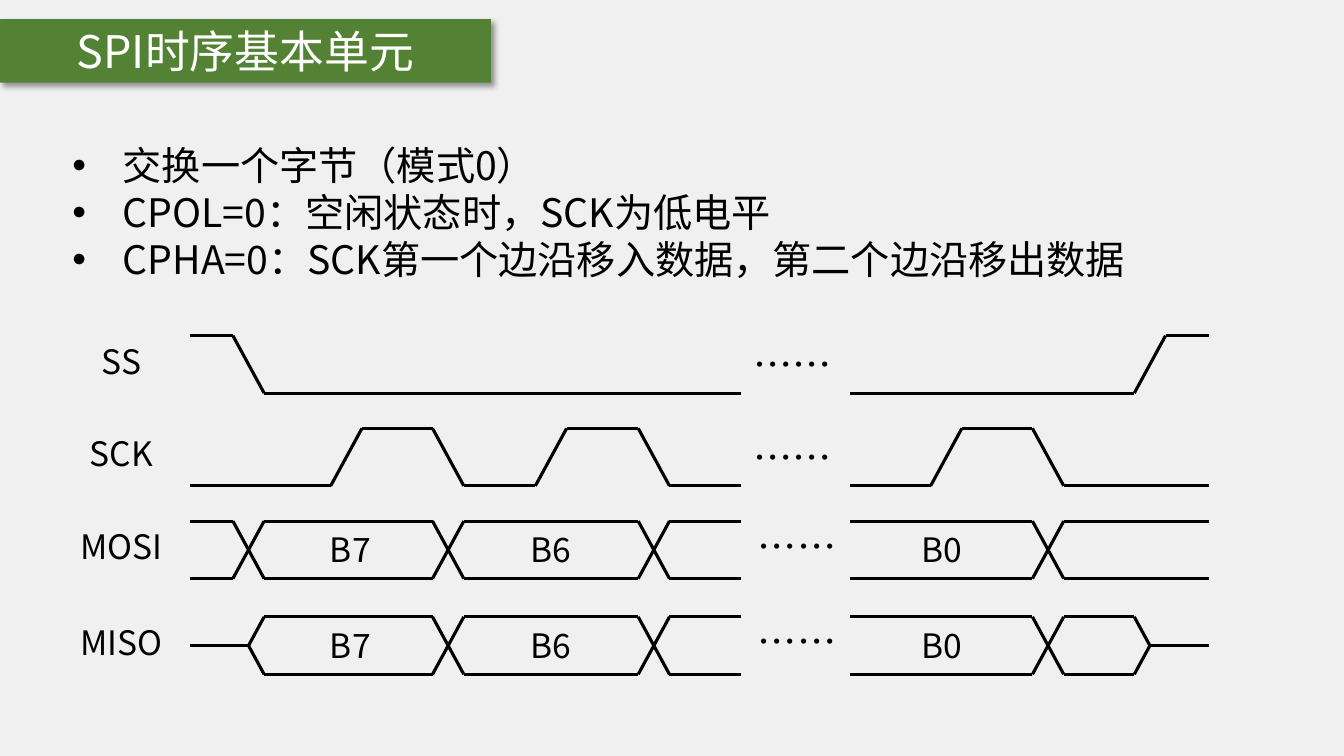
"""Build the SPI mode 0 timing slide."""
from itertools import pairwise

from lxml import etree
from pptx import Presentation
from pptx.dml.color import RGBColor
from pptx.enum.shapes import MSO_CONNECTOR as CONN, MSO_SHAPE as SHAPE
from pptx.enum.text import MSO_ANCHOR as ANCHOR, MSO_AUTO_SIZE as AUTO, PP_ALIGN as ALIGN
from pptx.oxml import parse_xml
from pptx.oxml.ns import nsdecls, qn
from pptx.util import Inches, Pt

COLORS = {"back": "F0F0F0", "banner": "548235", "ink": "000000", "white": "FFFFFF"}
FONT = "Noto Sans CJK SC"
SWING, SLOPE = 0.57, 0.31
START, GAP_LEFT, GAP_RIGHT, END = 1.88, 7.35, 8.43, 11.99
SELECT, FIRST, SECOND, LAST, RELEASE = 2.31, 4.29, 6.33, 10.24, 11.25
HIGH, MIDDLE, LOW = 0, 0.5, 1
BITS = {"B7": 3.01, "B6": 5.0, "B0": 8.88}


class Deck:
    """Hold the slide style and the current drawing target."""

    def __init__(self):
        self.prs = Presentation()
        self.prs.slide_width, self.prs.slide_height = Inches(13.33), Inches(7.5)
        self.slide = self.prs.slides.add_slide(self.prs.slide_layouts[6])
        fill = self.slide.background.fill
        fill.solid()
        fill.fore_color.rgb = self.color("back")
        self.shapes = self.slide.shapes

    def color(self, name):
        return RGBColor.from_string(COLORS[name])

    def group(self):
        self.shapes = self.slide.shapes.add_group_shape().shapes

    def style(self, p, size, color, align):
        p.alignment = align
        for r in p.runs:
            r.font.size, r.font.name = Pt(size), FONT
            r.font.color.rgb = self.color(color)
            etree.SubElement(r.font._element, qn("a:ea"), typeface=FONT)

    def banner(self, text, x, y, w, h):
        sp = self.shapes.add_shape(SHAPE.RECTANGLE, Inches(x), Inches(y), Inches(w), Inches(h))
        sp.fill.solid()
        sp.fill.fore_color.rgb = self.color("banner")
        sp.line.fill.background()
        sp._element.spPr.append(parse_xml(
            f'<a:effectLst {nsdecls("a")}><a:outerShdw blurRad="{Pt(4)}" dist="{Pt(3)}" '
            'dir="2700000" algn="tl" rotWithShape="0"><a:srgbClr val="000000">'
            '<a:alpha val="40000"/></a:srgbClr></a:outerShdw></a:effectLst>'))
        tf = sp.text_frame
        tf.text = text
        tf.vertical_anchor = ANCHOR.MIDDLE
        self.style(tf.paragraphs[0], 32, "white", ALIGN.CENTER)

    def text(self, text, x, y, w, h, size=24, align=ALIGN.CENTER):
        tf = self.shapes.add_textbox(Inches(x), Inches(y), Inches(w), Inches(h)).text_frame
        tf.word_wrap = True
        tf.auto_size = AUTO.SHAPE_TO_FIT_TEXT
        tf.text = text
        for p in tf.paragraphs:
            self.style(p, size, "ink", align)
        return tf

    def bullets(self, lines, x, y, w, h):
        for p in self.text("\n".join(lines), x, y, w, h, 28, ALIGN.LEFT).paragraphs:
            pPr = p._p.get_or_add_pPr()
            pPr.set("marL", str(Inches(0.5)))
            pPr.set("indent", str(Inches(-0.5)))
            etree.SubElement(pPr, qn("a:buFont"), typeface="Arial")
            etree.SubElement(pPr, qn("a:buChar"), char="•")

    def wave(self, top, *points):
        for (x1, level1), (x2, level2) in pairwise(points):
            cx = self.shapes.add_connector(
                CONN.STRAIGHT, Inches(x1), Inches(top + SWING * level1),
                Inches(x2), Inches(top + SWING * level2))
            cx.line.color.rgb = self.color("ink")
            cx.line.width = Pt(2.25)
            etree.SubElement(cx._element.spPr, qn("a:effectLst"))

    def signal(self, name, top, waves, dots=(7.22, 0)):
        self.group()
        self.text(name, 0.56, top, 1.29, 0.5)
        for points in waves:
            self.wave(top, *points)
        self.text("……", dots[0], top + dots[1], 1.29, SWING, 28)

    def data(self, name, top, waves):
        self.signal(name, top, waves, (7.26, -0.04))
        for bit, x in BITS.items():
            self.text(bit, x, top + 0.03, 0.93, 0.5)


def edge(x, before, after):
    return [(x, before), (x + SLOPE, after)]


def pulse(rise, fall):
    return edge(rise, LOW, HIGH) + edge(fall, HIGH, LOW)


def swap(level, *edges):
    points = []
    for x in edges:
        points += edge(x, level, 1 - level)
        level = 1 - level
    return points


def main():
    deck = Deck()
    deck.banner("SPI时序基本单元", 0, 0.19, 4.87, 0.63)
    deck.bullets(["交换一个字节（模式0）", "CPOL=0：空闲状态时，SCK为低电平",
                  "CPHA=0：SCK第一个边沿移入数据，第二个边沿移出数据"], 0.62, 1.35, 12.08, 1.51)
    deck.signal("SS", 3.33, [
        [(START, HIGH), *edge(SELECT, HIGH, LOW), (GAP_LEFT, LOW)],
        [(GAP_RIGHT, LOW), *edge(RELEASE, LOW, HIGH), (END, HIGH)]])
    deck.signal("SCK", 4.25, [
        [(START, LOW), *pulse(3.28, FIRST), *pulse(5.31, SECOND), (GAP_LEFT, LOW)],
        [(GAP_RIGHT, LOW), *pulse(9.23, LAST), (END, LOW)]])
    mosi, miso = [], []
    center = SELECT + SLOPE / 2
    finish = RELEASE + SLOPE / 2
    for level in (HIGH, LOW):
        other = 1 - level
        mosi += [
            [(START, level), *swap(level, SELECT, FIRST, SECOND), (GAP_LEFT, other)],
            [(GAP_RIGHT, level), *swap(level, LAST), (END, other)]]
        miso += [
            [(center, MIDDLE), (SELECT + SLOPE, level), *swap(level, FIRST, SECOND),
             (GAP_LEFT, level)],
            [(GAP_RIGHT, level), *swap(level, LAST), (RELEASE, other), (finish, MIDDLE)]]
    miso += [[(START, MIDDLE), (center, MIDDLE)], [(finish, MIDDLE), (END, MIDDLE)]]
    deck.data("MOSI", 5.17, mosi)
    deck.data("MISO", 6.12, miso)
    deck.prs.save("out.pptx")


if __name__ == "__main__":
    main()
